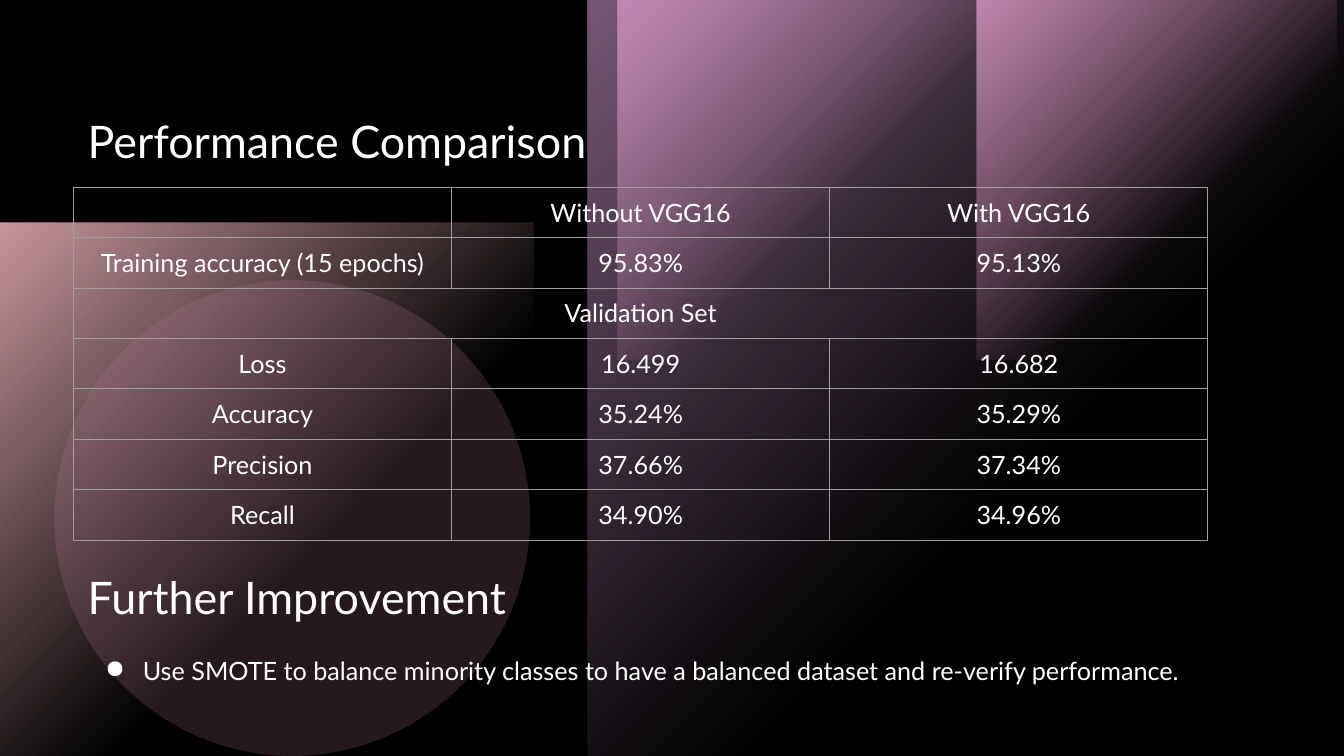
import dataclasses
import pptx
import pptx.util
import pptx.dml.color
import pptx.enum.shapes
import pptx.enum.text
import pptx.oxml
import pptx.oxml.ns
import lxml.etree

Cm, Pt = pptx.util.Cm, pptx.util.Pt
RGB = pptx.dml.color.RGBColor.from_string
qn = pptx.oxml.ns.qn


@dataclasses.dataclass
class Theme:
    font: str = "Lato"
    back: str = "000000"
    text: str = "FFFFFF"
    grid: str = "9E9E9E"
    rose: str = "C6969C"
    pink: str = "BA7F9F"
    lilac: str = "C492C2"
    head: int = 32
    body: int = 18


theme = Theme()


def add(root, tag, **attrs):
    return lxml.etree.SubElement(root, qn(tag), attrs)


def write(frame, text, size):
    frame.text = text
    para = frame.paragraphs[0]
    for run in para.runs:
        run.font.name = theme.font
        run.font.size = Pt(size)
        run.font.color.rgb = RGB(theme.text)
    return para


deck = pptx.Presentation()
deck.slide_width, deck.slide_height = Cm(33.87), Cm(19.05)
slide = deck.slides.add_slide(deck.slide_layouts[6])
slide.background.fill.solid()
slide.background.fill.fore_color.rgb = RGB(theme.back)
shapes = slide.shapes
kinds = pptx.enum.shapes.MSO_SHAPE

# Squares that fade out from the top left: left, top, side, colour, opacity
squares = [
    (0, 5.61, 13.44, theme.rose, 100),
    (24.61, 0, 9.07, theme.pink, 100),
    (15.56, 0, 9.07, theme.pink, 100),
    (14.82, 0, 19.05, theme.lilac, 60),
]
for left, top, side, hue, alpha in squares:
    square = shapes.add_shape(kinds.RECTANGLE, Cm(left), Cm(top), Cm(side), Cm(side))
    square.shadow.inherit = False
    square.line.fill.background()
    square.fill.gradient()
    square.fill.gradient_angle = 315
    for stop, place, level in zip(square.fill.gradient_stops, (0, 0.6), (alpha, 0)):
        stop.position = place
        stop.color.rgb = RGB(hue)
    for tone, level in zip(square.element.spPr.iter(qn("a:srgbClr")), (alpha, 0)):
        add(tone, "a:alpha", val=str(level * 1000))

# Faint disc
disc = shapes.add_shape(kinds.OVAL, Cm(1.37), Cm(7.06), Cm(11.99), Cm(11.99))
disc.shadow.inherit = False
disc.line.fill.background()
disc.fill.solid()
disc.fill.fore_color.rgb = RGB(theme.pink)
add(next(disc.element.spPr.iter(qn("a:srgbClr"))), "a:alpha", val="20000")

# Headings and bullet
anchors = pptx.enum.text.MSO_ANCHOR
texts = [
    ("Performance Comparison", 1.96, 1.52, 27.79, 2.84, theme.head, anchors.BOTTOM),
    ("Further Improvement", 1.96, 14.22, 28.12, 1.63, theme.head, anchors.TOP),
    ("Use SMOTE to balance minority classes to have a balanced dataset "
     "and re-verify performance.", 2.08, 16.38, 28.12, 1.8, theme.body, anchors.TOP),
]
paras = []
for text, left, top, width, height, size, anchor in texts:
    frame = shapes.add_textbox(Cm(left), Cm(top), Cm(width), Cm(height)).text_frame
    frame.word_wrap = True
    frame.vertical_anchor = anchor
    paras.append(write(frame, text, size))
title, _, point = paras
title.line_spacing = 0.9
props = point._p.get_or_add_pPr()
props.set("marL", str(Cm(1.27)))
props.set("indent", str(-Cm(0.95)))
add(add(props, "a:buClr"), "a:srgbClr", val=theme.text)
add(props, "a:buChar", char="●")

# Results table
rows = [
    ("", "Without VGG16", "With VGG16"),
    ("Training accuracy (15 epochs)", "95.83%", "95.13%"),
    ("Validation Set", "", ""),
    ("Loss", "16.499", "16.682"),
    ("Accuracy", "35.24%", "35.29%"),
    ("Precision", "37.66%", "37.34%"),
    ("Recall", "34.90%", "34.96%"),
]
wide, high = 9.53, 1.27
table = shapes.add_table(len(rows), 3, Cm(1.85), Cm(4.72),
                         Cm(3 * wide), Cm(len(rows) * high)).table
table.first_row = table.horz_banding = False
for col in table.columns:
    col.width = Cm(wide)
for r, row in enumerate(rows):
    table.rows[r].height = Cm(high)
    for c, text in enumerate(row):
        cell = table.cell(r, c)
        para = write(cell.text_frame, text, theme.body)
        para.alignment = pptx.enum.text.PP_ALIGN.CENTER
        cell.margin_left = cell.margin_right = Cm(0.25)
        cell.margin_top = cell.margin_bottom = Cm(0.25)
        props = cell._tc.get_or_add_tcPr()
        for edge in ("a:lnL", "a:lnR", "a:lnT", "a:lnB"):
            line = add(props, edge, w=str(Pt(0.75)))
            add(add(line, "a:solidFill"), "a:srgbClr", val=theme.grid)
        cell.fill.background()
table.cell(2, 0).merge(table.cell(2, 2))

deck.save("out.pptx")
